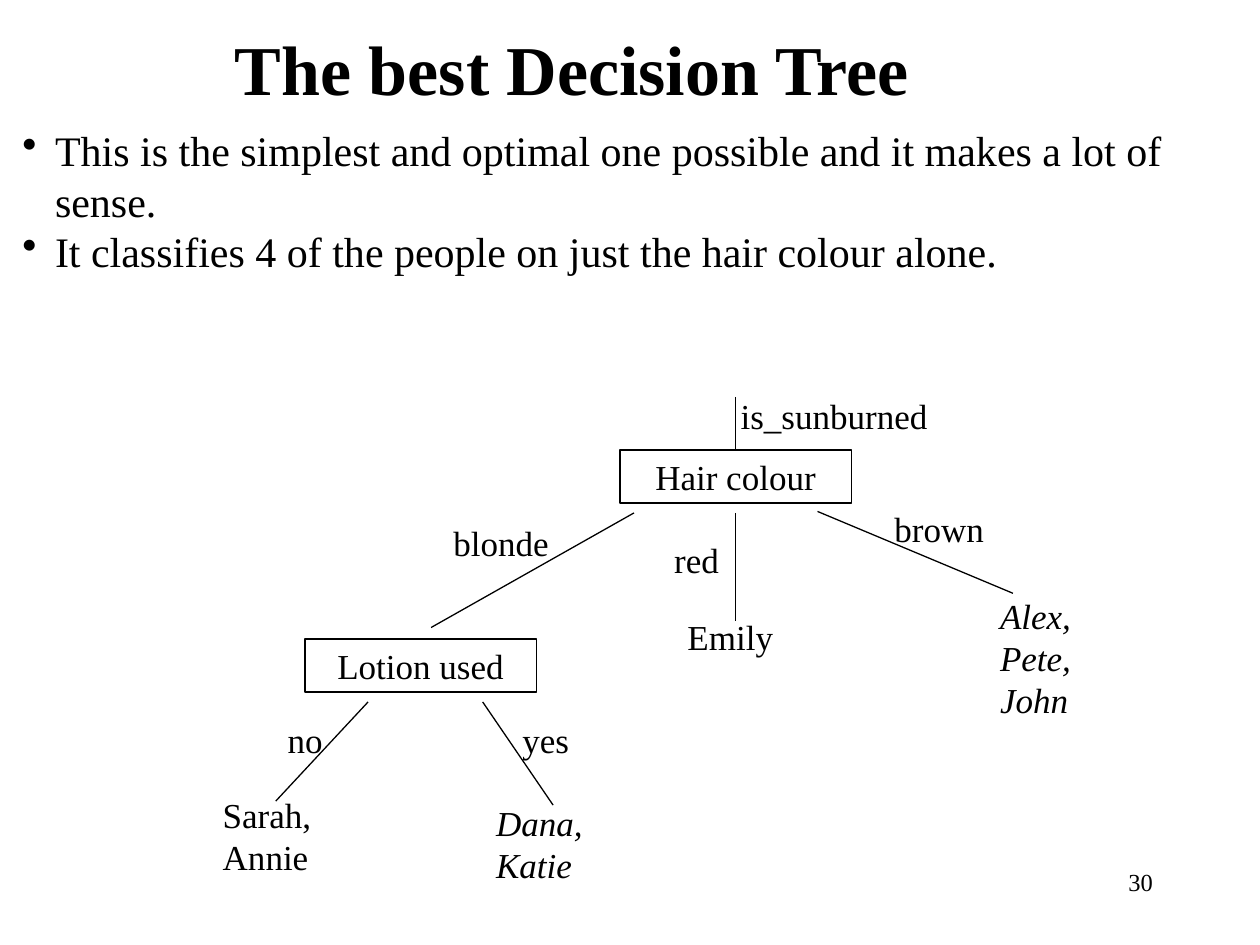
from lxml import etree
from pptx import Presentation
from pptx import util as u
from pptx.dml.color import RGBColor
from pptx.enum import shapes, text
from pptx.oxml import ns

HUES = {"ink": "000000", "paper": "FFFFFF"}
LEFT, MID, RIGHT = text.PP_ALIGN.LEFT, text.PP_ALIGN.CENTER, text.PP_ALIGN.RIGHT


class Deck:
    """Holds the style and the current slide."""

    font = "Times New Roman"
    size = 20
    rule = 0.75

    def __init__(self, wide, high):
        self.prs = Presentation()
        self.prs.slide_width, self.prs.slide_height = u.Cm(wide), u.Cm(high)
        self.slide = self.prs.slides.add_slide(self.prs.slide_layouts[6])

    def hue(self, name):
        return RGBColor.from_string(HUES[name])

    def fill_in(self, frame, lines, size=None, align=LEFT, bold=False,
                italic=False, bullet=False):
        for i, line in enumerate(lines):
            para = frame.paragraphs[0] if i == 0 else frame.add_paragraph()
            para.alignment = align
            if bullet:
                props = para._p.get_or_add_pPr()
                props.set("marL", str(u.Cm(0.66)))
                props.set("indent", str(-u.Cm(0.66)))
                etree.SubElement(props, ns.qn("a:buChar")).set("char", "•")
            run = para.add_run()
            run.text = line
            font = run.font
            font.name, font.size = self.font, u.Pt(size or self.size)
            font.bold, font.italic = bold, italic
            font.color.rgb = self.hue("ink")

    def label(self, x, y, w, h, *lines, anchor=text.MSO_ANCHOR.TOP, **style):
        box = self.slide.shapes.add_textbox(*map(u.Cm, (x, y, w, h)))
        frame = box.text_frame
        frame.word_wrap = True
        frame.vertical_anchor = anchor
        self.fill_in(frame, lines, **style)

    def node(self, x, y, line, w=4.66, h=1.07):
        box = self.slide.shapes.add_shape(
            shapes.MSO_SHAPE.RECTANGLE, *map(u.Cm, (x, y, w, h)))
        box.shadow.inherit = False
        box.fill.solid()
        box.fill.fore_color.rgb = self.hue("paper")
        box.line.color.rgb = self.hue("ink")
        box.line.width = u.Pt(self.rule)
        frame = box.text_frame
        frame.word_wrap = False
        frame.vertical_anchor = text.MSO_ANCHOR.MIDDLE
        self.fill_in(frame, [line], align=MID)
        return box

    def edge(self, x1, y1, x2, y2):
        line = self.slide.shapes.add_connector(
            shapes.MSO_CONNECTOR.STRAIGHT, *map(u.Cm, (x1, y1, x2, y2)))
        line.line.color.rgb = self.hue("ink")
        line.line.width = u.Pt(self.rule)
        etree.SubElement(line._element.spPr, ns.qn("a:effectLst"))
        return line


def main():
    deck = Deck(25.4, 19.05)

    # Title and points
    deck.label(1.47, 0.43, 20.12, 1.85, "The best Decision Tree", size=40,
               bold=True, align=MID, anchor=text.MSO_ANCHOR.MIDDLE)
    deck.label(0.2, 2.39, 24.77, 3.3,
               "This is the simplest and optimal one possible and it makes "
               "a lot of sense.",
               "It classifies 4 of the people on just the hair colour alone.",
               size=24, bullet=True)

    # Tests
    hair = deck.node(12.5, 9.07, "Hair colour")
    deck.node(6.15, 12.88, "Lotion used")

    # Branches
    deck.edge(14.83, 8, 14.83, 9.07).end_connect(hair, 0)
    for ends in ((12.78, 10.34, 8.69, 12.65),
                 (14.83, 10.34, 14.83, 12.52),
                 (16.48, 10.31, 20.42, 11.96),
                 (7.42, 14.15, 5.56, 16.15),
                 (9.73, 14.15, 11.15, 16.23)):
        deck.edge(*ends)

    # Branch names
    for x, y, w, name, align in (
            (14.68, 7.82, 8.05, "is_sunburned", LEFT),
            (8.89, 10.39, 3.18, "blonde", LEFT),
            (13.34, 10.74, 2.54, "red", LEFT),
            (17.78, 10.11, 2.54, "brown", LEFT),
            (4.88, 14.35, 2.54, "no", MID),
            (9.73, 14.35, 2.54, "yes", MID)):
        deck.label(x, y, w, 1.12, name, align=align)

    # Leaves
    deck.label(4.24, 15.88, 2.92, 1.96, "Sarah, Annie")
    deck.label(13.61, 12.29, 2.79, 1.12, "Emily")
    deck.label(19.91, 11.86, 4.65, 2.79, "Alex,", "Pete,", "John", italic=True)
    deck.label(9.75, 16.03, 4.65, 1.96, "Dana,", "Katie", italic=True)

    # Page number
    deck.label(18.21, 17.35, 5.28, 1.27, "30", size=14, align=RIGHT)

    deck.prs.save("out.pptx")


if __name__ == "__main__":
    main()
